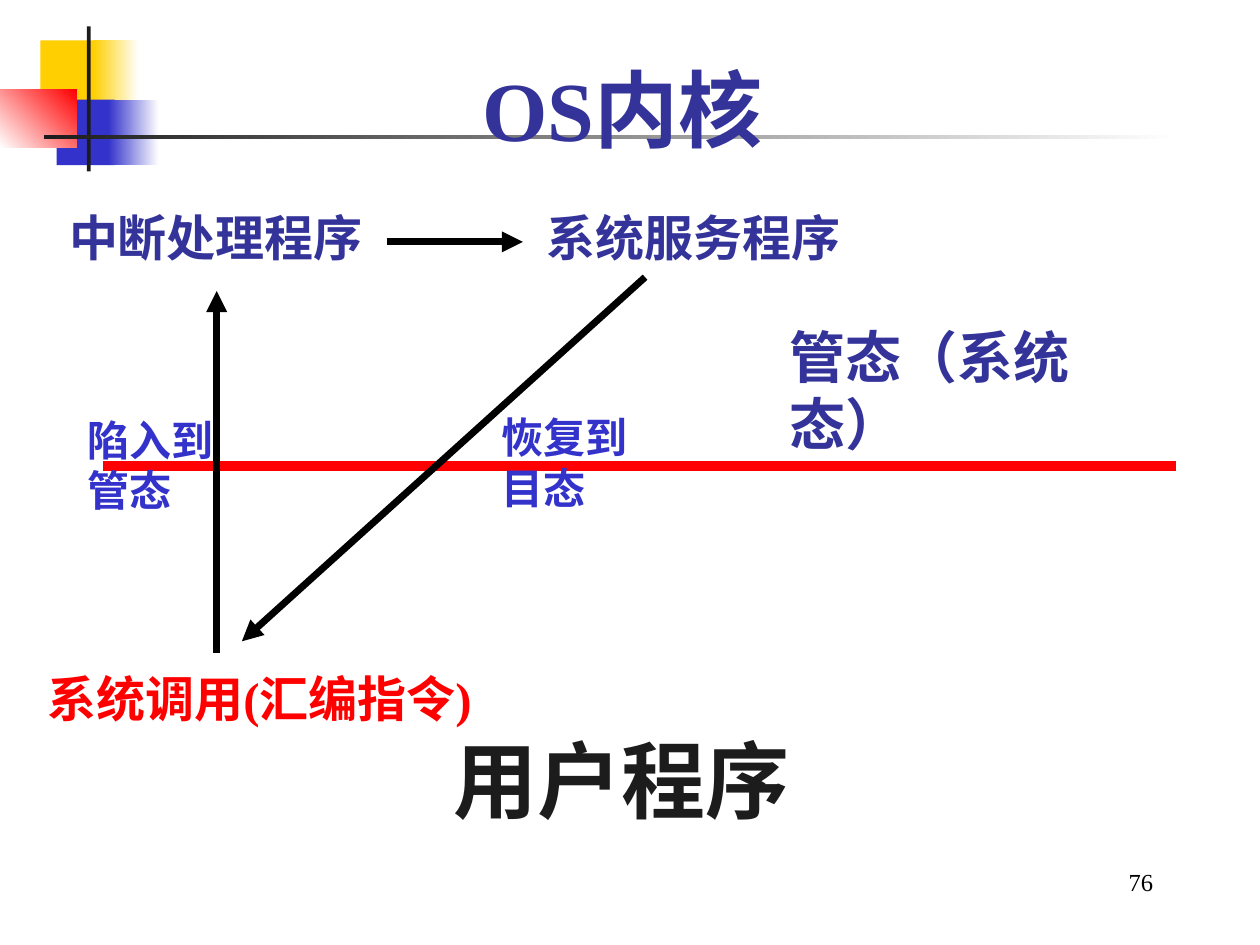
from lxml import etree
from pptx import Presentation
from pptx.dml.color import RGBColor
from pptx.enum.shapes import MSO_CONNECTOR, MSO_SHAPE
from pptx.enum.text import MSO_ANCHOR, PP_ALIGN
from pptx.oxml.ns import qn
from pptx.util import Emu, Pt

RECT, STRAIGHT = MSO_SHAPE.RECTANGLE, MSO_CONNECTOR.STRAIGHT
LEFT, RIGHT, TOP = PP_ALIGN.LEFT, PP_ALIGN.RIGHT, MSO_ANCHOR.TOP
TITLE_ONLY = 5
FONT = "Times New Roman"
BLUE, NAVY, RED, YELLOW = "3333CC", "333399", "FF0000", "FFCF01"
INK, BLACK, WHITE = "1C1C1C", "000000", "FFFFFF"
CELL = 914400  # the slide is a grid of 10 columns by 7.5 rows


def rgb(value):
    return RGBColor.from_string(value)


def at(box, x, y):
    """Grid position relative to the top left corner of a box."""
    return Emu(round((box[0] + x) * CELL)), Emu(round((box[1] + y) * CELL))


def size(w, h):
    return Emu(round(w * CELL)), Emu(round(h * CELL))


def write(sp, text, pt=28, color=NAVY, bold=True, align=LEFT, wrap=False):
    tf = sp.text_frame
    tf.word_wrap = wrap
    tf.vertical_anchor = TOP
    p = tf.paragraphs[0]
    p.text = text
    p.alignment = align
    for r in p.runs:
        r.font.name, r.font.size, r.font.bold = FONT, Pt(pt), bold
        r.font.color.rgb = rgb(color)


def label(s, box, x, y, w, h, text, **fmt):
    write(s.shapes.add_textbox(*at(box, x, y), *size(w, h)), text, **fmt)


def line(s, box, start, end, color=BLACK, pt=4, arrow=True):
    cxn = s.shapes.add_connector(STRAIGHT, *at(box, *start), *at(box, *end))
    cxn.line.color.rgb = rgb(color)
    cxn.line.width = Pt(pt)
    if arrow:
        etree.SubElement(cxn.line._get_or_add_ln(), qn("a:tailEnd"), type="triangle")
    etree.SubElement(cxn._element.spPr, qn("a:effectLst"))


def block(group, box, x, y, w, h, color, end=None, angle=0):
    """Rectangle in one colour, or fading to an end colour."""
    sp = group.shapes.add_shape(RECT, *at(box, x, y), *size(w, h))
    sp.shadow.inherit = False
    sp.line.fill.background()
    if end is None:
        sp.fill.solid()
        sp.fill.fore_color.rgb = rgb(color)
        return
    sp.fill.gradient()
    sp.fill.gradient_angle = angle
    for stop, value in zip(sp.fill.gradient_stops, (color, end)):
        stop.color.rgb = rgb(value)


def add_ornament(s, box):
    group = s.shapes.add_group_shape()
    # Coloured squares
    block(group, box, 0.32, 0.11, 0.48, 0.52, YELLOW)
    block(group, box, 0.74, 0.11, 0.36, 0.52, YELLOW, WHITE)
    block(group, box, 0.45, 0.58, 0.46, 0.52, BLUE)
    block(group, box, 0.86, 0.58, 0.4, 0.52, BLUE, WHITE)
    block(group, box, 0, 0.5, 0.61, 0.46, WHITE, RED, angle=45)
    # Crossing rules
    block(group, box, 0.69, 0, 0.03, 1.15, INK)
    block(group, box, 0.35, 0.86, 9, 0.03, INK, WHITE)
    s.shapes._spTree.insert(2, group._element)  # behind the title


def add_title(s, box):
    title = s.shapes.title
    title.left, title.top = at(box, 0, 0)
    title.width, title.height = size(2.82, 0.9)
    write(title, "OS内核", pt=48, wrap=True)


def add_kernel_diagram(s, box):
    # Boundary between the two modes
    line(s, box, (0.54, 2.1), (9.05, 2.1), RED, 6, arrow=False)
    label(s, box, 5.89, 0.91, 3.31, 0.64, "管态（系统态）", pt=32)
    # Programs
    label(s, box, 0, 3.66, 3.84, 0.57, "系统调用(汇编指令)", color=RED)
    label(s, box, 0.17, 0, 2.53, 0.57, "中断处理程序")
    label(s, box, 3.96, 0, 2.53, 0.57, "系统服务程序")
    label(s, box, 3.22, 4.13, 3.26, 0.9, "用户程序", pt=48, color=INK, wrap=True)
    # Control flow
    line(s, box, (1.44, 3.58), (1.44, 0.71))
    line(s, box, (2.79, 0.32), (3.87, 0.32))
    line(s, box, (4.84, 0.6), (1.64, 3.49))
    # Mode switches
    for x, y, text in ((0.32, 1.64, "陷入到\n管态"), (3.6, 1.62, "恢复到\n目态")):
        label(s, box, x, y, 1.2, 0.9, text, pt=24, color=BLUE)


def add_page_number(s, box):
    label(s, box, 0, 0, 2.08, 0.5, "76", pt=14, color=BLACK, bold=False,
          align=RIGHT, wrap=True)


def main():
    prs = Presentation()
    prs.slide_width, prs.slide_height = size(10, 7.5)
    s = prs.slides.add_slide(prs.slide_layouts[TITLE_ONLY])
    add_ornament(s, (0, 0.21))
    add_title(s, (3.73, 0.41))
    add_kernel_diagram(s, (0.28, 1.6))
    add_page_number(s, (7.17, 6.83))
    prs.save("out.pptx")


if __name__ == "__main__":
    main()
